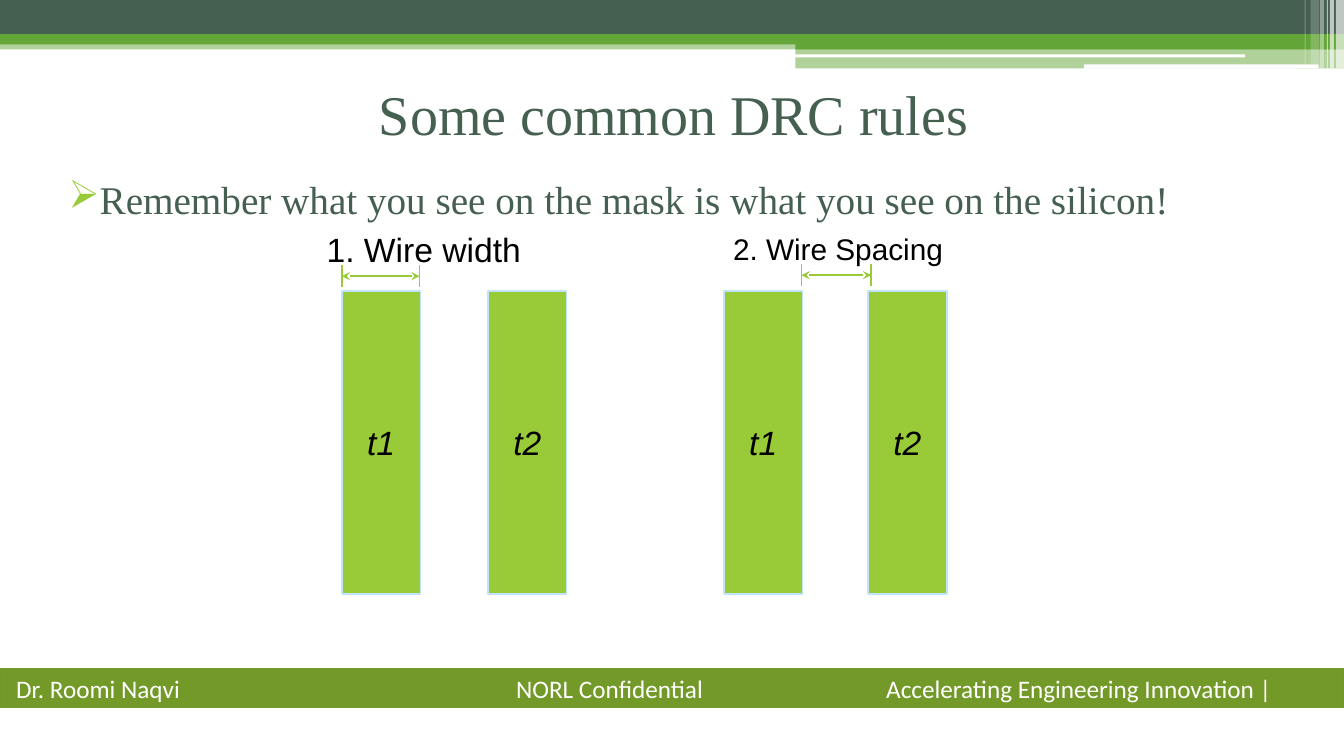
import dataclasses

import lxml.etree
import pptx
import pptx.dml.color
import pptx.enum.shapes
import pptx.enum.text
import pptx.oxml.ns
import pptx.util

Inches = pptx.util.Inches
Pt = pptx.util.Pt
Shapes = pptx.enum.shapes.MSO_SHAPE
Align = pptx.enum.text.PP_ALIGN
Anchor = pptx.enum.text.MSO_ANCHOR
qn = pptx.oxml.ns.qn


@dataclasses.dataclass(frozen=True)
class Theme:
    """Colours, fonts and type sizes of the deck."""
    dark: str = "455F51"
    green: str = "63A537"
    lime: str = "99CB38"
    sky: str = "C0E3FE"
    olive: str = "739A28"
    olive_edge: str = "719629"
    white: str = "FFFFFF"
    black: str = "000000"
    serif: str = "Times New Roman"
    sans: str = "Arial"
    footer_font: str = "Calibri"
    title_size: float = 40
    body_size: float = 28
    label_size: float = 24
    spacing_size: float = 21.3
    footer_size: float = 18
    stroke: float = 1.25


THEME = Theme()


def colour(code):
    """Turn a hex code into an RGB colour."""
    return pptx.dml.color.RGBColor.from_string(code)


def apply(target, values):
    """Set each named attribute on the target."""
    for name, value in values.items():
        setattr(target, name, value)


def add_xml(parent, tag, **attributes):
    """Append a DrawingML element to a parent."""
    return lxml.etree.SubElement(parent, qn(tag), attributes)


def write(shape, text, font, size, ink, inset=(0, 0), align=Align.LEFT,
          anchor=Anchor.TOP, italic=False, wrap=True):
    """Fill a shape with one formatted paragraph and return it."""
    frame = shape.text_frame
    across, down = map(Inches, inset)
    apply(frame, {"word_wrap": wrap, "vertical_anchor": anchor,
                  "auto_size": pptx.enum.text.MSO_AUTO_SIZE.NONE,
                  "margin_left": across, "margin_right": across,
                  "margin_top": down, "margin_bottom": down})
    para = frame.paragraphs[0]
    para.alignment = align
    span = para.add_run()
    span.text = text
    apply(span.font, {"name": font, "size": Pt(size), "italic": italic})
    span.font.color.rgb = colour(ink)
    return para


def add_box(page, bounds, fill, opacity=100, edge=None, width=1, kind=Shapes.RECTANGLE):
    """Add a flat filled shape, optionally see-through or outlined."""
    box = page.shapes.add_shape(kind, *map(Inches, bounds))
    box.shadow.inherit = False
    box.fill.solid()
    box.fill.fore_color.rgb = colour(fill)
    if opacity < 100:
        tint = box.fill._xPr.find(qn("a:solidFill"))[0]
        add_xml(tint, "a:alpha", val=str(opacity * 1000))
    if edge:
        box.line.color.rgb = colour(edge)
        box.line.width = Pt(width)
    else:
        box.line.fill.background()
    return box


def add_line(page, start, end, arrows=False):
    """Add a straight line, with stealth heads at both ends if asked."""
    line = page.shapes.add_connector(
        pptx.enum.shapes.MSO_CONNECTOR.STRAIGHT, *map(Inches, start + end))
    line.line.color.rgb = colour(THEME.lime)
    line.line.width = Pt(THEME.stroke)
    if arrows:
        stroke = line.line._get_or_add_ln()
        for tag in ("a:headEnd", "a:tailEnd"):
            add_xml(stroke, tag, type="stealth")
    add_xml(line._element.spPr, "a:effectLst")


def add_header(page):
    """Draw the layered bands and fading stripes along the top."""
    for left, top, width, height, fill, opacity in (
            (0, 0.4, 13.33, 0.09, THEME.green, 50),
            (0, 0, 13.33, 0.34, THEME.dark, 100),
            (0, 0.34, 13.33, 0.1, THEME.green, 100),
            (7.89, 0.39, 5.44, 0.1, THEME.green, 100),
            (7.89, 0.48, 5.44, 0.2, THEME.green, 50)):
        add_box(page, (left, top, width, height), fill, opacity)
    for bounds in ((7.88, 0.54, 4.47, 0.03), (10.75, 0.64, 2.33, 0.04)):
        add_box(page, bounds, THEME.white, kind=Shapes.ROUNDED_RECTANGLE)
    for left, width, height, opacity in (
            (13.25, 0.08, 0.68, 65), (13.19, 0.04, 0.68, 65),
            (13.16, 0.01, 0.68, 60), (13.09, 0.04, 0.68, 40),
            (13, 0.08, 0.64, 20), (12.94, 0.01, 0.64, 30)):
        add_box(page, (left, 0, width, height), THEME.white, opacity)


def add_footer(page, texts, stops):
    """Draw the footer band with its texts set on tab stops."""
    band = add_box(page, (0, 6.63, 13.33, 0.39), THEME.olive, edge=THEME.olive_edge)
    para = write(band, "\t".join(texts), THEME.footer_font, THEME.footer_size,
                 THEME.white, inset=(0.16, 0.05), anchor=Anchor.MIDDLE, wrap=False)
    tabs = add_xml(para._p.get_or_add_pPr(), "a:tabLst")
    for stop in stops:
        add_xml(tabs, "a:tab", pos=str(Inches(stop)), algn="l")


def place(holder, bounds):
    """Move a placeholder to the given bounds."""
    apply(holder, dict(zip(("left", "top", "width", "height"), map(Inches, bounds))))


def add_heading(page, title, point):
    """Fill the title and the bulleted body placeholder."""
    place(page.shapes.title, (0.68, 0.54, 12, 1.17))
    write(page.shapes.title, title, THEME.serif, THEME.title_size, THEME.dark,
          align=Align.CENTER, anchor=Anchor.MIDDLE)
    body = page.placeholders[1]
    place(body, (0.68, 1.74, 12, 4.73))
    para = write(body, point, THEME.serif, THEME.body_size, THEME.dark)
    para.space_before = Pt(4)
    layout = para._p.get_or_add_pPr()
    layout.set("marL", str(Inches(0.25)))
    layout.set("indent", str(Inches(-0.25)))
    add_xml(add_xml(layout, "a:buClr"), "a:srgbClr", val=THEME.lime)
    add_xml(layout, "a:buFont", typeface="Wingdings", charset="2")
    add_xml(layout, "a:buChar", char="Ø")


def add_wires(page, lefts):
    """Draw a pair of wires named t1 and t2."""
    for number, left in enumerate(lefts, start=1):
        wire = add_box(page, (left, 2.89, 0.78, 3), THEME.lime,
                       edge=THEME.sky, width=THEME.stroke)
        write(wire, f"t{number}", THEME.sans, THEME.label_size, THEME.black,
              inset=(0.1, 0.05), align=Align.CENTER, anchor=Anchor.MIDDLE, italic=True)


def add_dimension(page, left, right, middle):
    """Draw a double arrow between two tick marks."""
    add_line(page, (left, middle), (right, middle), arrows=True)
    for tick in (left, right):
        add_line(page, (tick, middle - 0.11), (tick, middle + 0.11))


def add_caption(page, bounds, text, size, inset):
    """Add the name of a rule above its wires."""
    box = page.shapes.add_textbox(*map(Inches, bounds))
    write(box, text, THEME.sans, size, THEME.black, inset=inset)


def main():
    """Build the slide and save the deck."""
    deck = pptx.Presentation()
    apply(deck, {"slide_width": Inches(13.33), "slide_height": Inches(7.5)})
    page = deck.slides.add_slide(deck.slide_layouts[1])
    add_header(page)
    add_footer(page, ("Dr. Roomi Naqvi", "NORL Confidential",
                      "Accelerating Engineering Innovation |"), (4.96, 8.63))
    add_heading(page, "Some common DRC rules",
                "Remember what you see on the mask is what you see on the silicon!")
    add_wires(page, (3.39, 4.84))
    add_dimension(page, 3.39, 4.16, 2.74)
    add_caption(page, (3.11, 2.2, 2.21, 0.54), "1. Wire width",
                THEME.label_size, (0.13, 0.07))
    add_wires(page, (7.18, 8.61))
    add_dimension(page, 7.95, 8.64, 2.73)
    add_caption(page, (7.27, 2.29, 2.11, 0.36), "2. Wire Spacing",
                THEME.spacing_size, (0, 0))
    deck.save("out.pptx")


main()
